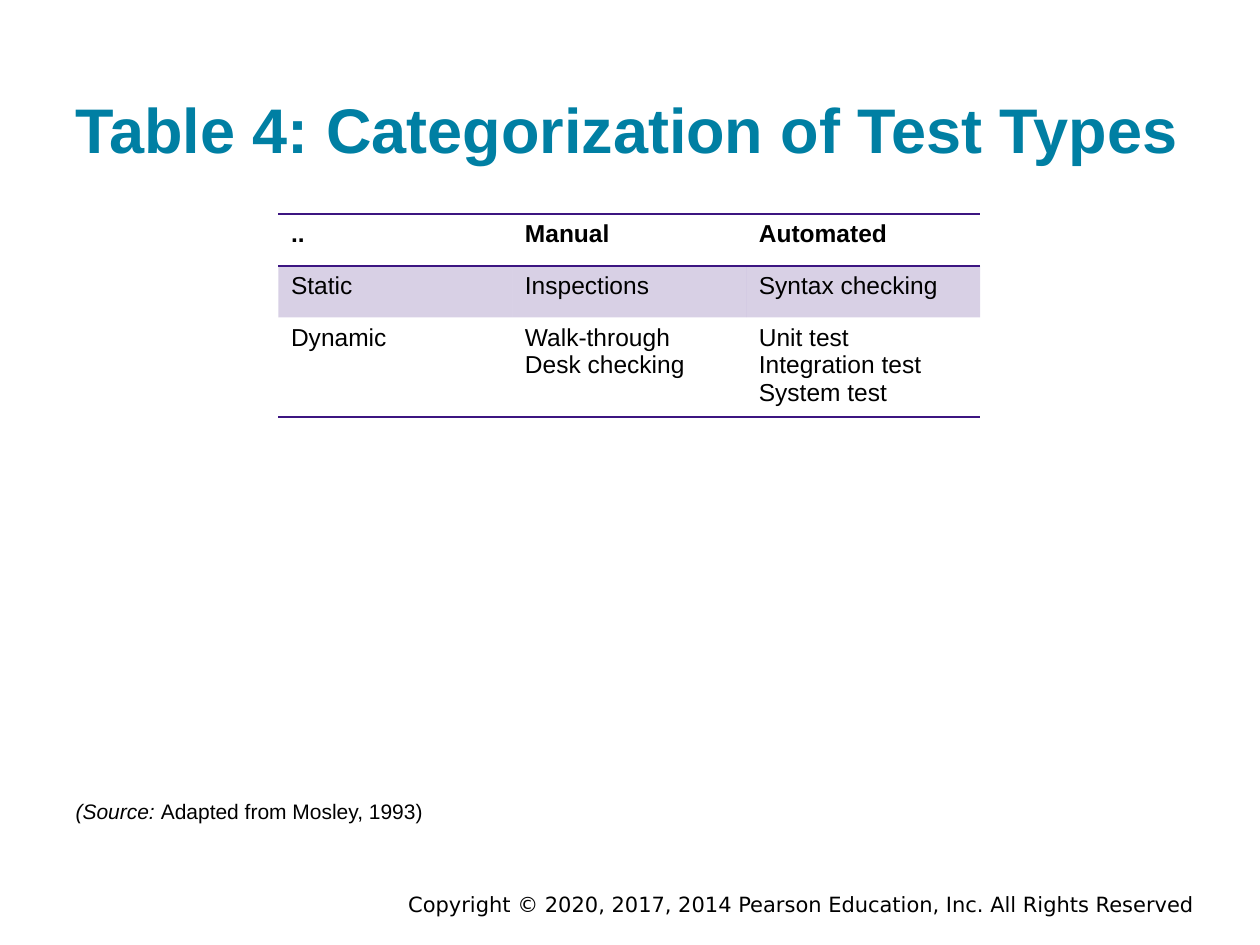
from lxml import etree
from pptx import Presentation
from pptx.dml.color import RGBColor
from pptx.enum import text
from pptx.oxml import ns
from pptx.util import Inches, Pt

TEAL = RGBColor(0x00, 0x7F, 0xA3)
PURPLE = RGBColor(0x3C, 0x15, 0x81)
BLACK = RGBColor(0x00, 0x00, 0x00)

TEST_TYPES = [
    [["."  "."], ["Manual"], ["Automated"]],
    [["Static"], ["Inspections"], ["Syntax checking"]],
    [["Dynamic"], ["Walk-through", "Desk checking"],
     ["Unit test", "Integration test", "System test"]],
]
ROW_HEIGHTS = [0.41, 0.41, 0.79]


class SlideBuilder:
    font = "Arial"

    def __init__(self, slide):
        self.slide = slide

    def add_run(self, paragraph, words, size, color=BLACK, bold=False,
                italic=False, font=None):
        run = paragraph.add_run()
        run.text = words
        run.font.name = font or self.font
        run.font.size = Pt(size)
        run.font.bold = bold
        run.font.italic = italic
        run.font.color.rgb = color

    def place_frame(self, holder, left, top, width, height, inset):
        """Position a text holder and return its bottom-anchored frame."""
        holder.left, holder.top = Inches(left), Inches(top)
        holder.width, holder.height = Inches(width), Inches(height)
        frame = holder.text_frame
        frame.word_wrap = True
        frame.auto_size = text.MSO_AUTO_SIZE.NONE
        frame.vertical_anchor = text.MSO_ANCHOR.BOTTOM
        frame.margin_left = frame.margin_right = Inches(0.1)
        frame.margin_top = frame.margin_bottom = Inches(inset)
        return frame

    def title(self, words):
        frame = self.place_frame(self.slide.shapes.title,
                                 0.5, 0.15, 9, 1.27, 0.1)
        heading = frame.paragraphs[0]
        heading.alignment = text.PP_ALIGN.LEFT
        self.add_run(heading, words, 36, TEAL, bold=True)

    def source_note(self, label, reference):
        frame = self.place_frame(self.slide.placeholders[1],
                                 0.5, 6.22, 9, 0.42, 0.1)
        note = frame.paragraphs[0]
        properties = note._p.get_or_add_pPr()
        properties.set("marL", "0")
        properties.set("indent", "0")
        etree.SubElement(properties, ns.qn("a:buNone"))
        note.space_before = Pt(0)
        self.add_run(note, label, 12, italic=True)
        self.add_run(note, reference, 12)

    def copyright_line(self, words):
        box = self.slide.shapes.add_textbox(0, 0, 0, 0)
        frame = self.place_frame(box, 1.75, 7.03, 7.83, 0.22, 0.05)
        frame.vertical_anchor = text.MSO_ANCHOR.TOP
        line = frame.paragraphs[0]
        line.alignment = text.PP_ALIGN.RIGHT
        self.add_run(line, words, 12, font="DejaVu Sans")

    def set_borders(self, cell, ruled):
        """Rule the named sides (T, B) and clear the others."""
        properties = cell._tc.get_or_add_tcPr()
        for position, side in enumerate("LRTB"):
            border = etree.Element(ns.qn(f"a:ln{side}"), w=str(Pt(1)))
            if side in ruled:
                fill = etree.SubElement(border, ns.qn("a:solidFill"))
                etree.SubElement(fill, ns.qn("a:srgbClr"), val=str(PURPLE))
            else:
                etree.SubElement(border, ns.qn("a:noFill"))
            properties.insert(position, border)

    def tint(self, cell):
        cell.fill.solid()
        cell.fill.fore_color.rgb = PURPLE
        color = cell._tc.tcPr.find(".//" + ns.qn("a:srgbClr"))
        etree.SubElement(color, ns.qn("a:alpha"), val="20000")

    def table(self, rows, heights, left, top, width):
        table = self.slide.shapes.add_table(
            len(rows), len(rows[0]), Inches(left), Inches(top),
            Inches(width), Inches(sum(heights))).table
        table.first_row = table.horz_banding = False
        ruled_sides = {0: "TB", 1: "T", len(rows) - 1: "B"}
        for r, (row, height) in enumerate(zip(rows, heights)):
            table.rows[r].height = Inches(height)
            for c, lines in enumerate(row):
                cell = table.cell(r, c)
                if r == 1:
                    self.tint(cell)
                else:
                    cell.fill.background()
                self.set_borders(cell, ruled_sides.get(r, ""))
                frame = cell.text_frame
                for n, words in enumerate(lines):
                    paragraph = frame.add_paragraph() if n else frame.paragraphs[0]
                    self.add_run(paragraph, words, 14, bold=r == 0)


def main():
    deck = Presentation()
    deck.slide_width, deck.slide_height = Inches(10), Inches(7.5)
    builder = SlideBuilder(deck.slides.add_slide(deck.slide_layouts[1]))
    builder.copyright_line("Copyright © 2020, 2017, 2014 Pearson Education, "
                           "Inc. All Rights Reserved")
    builder.title("Table 4: Categorization of Test Types")
    builder.source_note("(Source: ", "Adapted from Mosley, 1993)")
    builder.table(TEST_TYPES, ROW_HEIGHTS, 2.21, 1.7, 5.57)
    deck.save("out.pptx")


if __name__ == "__main__":
    main()
